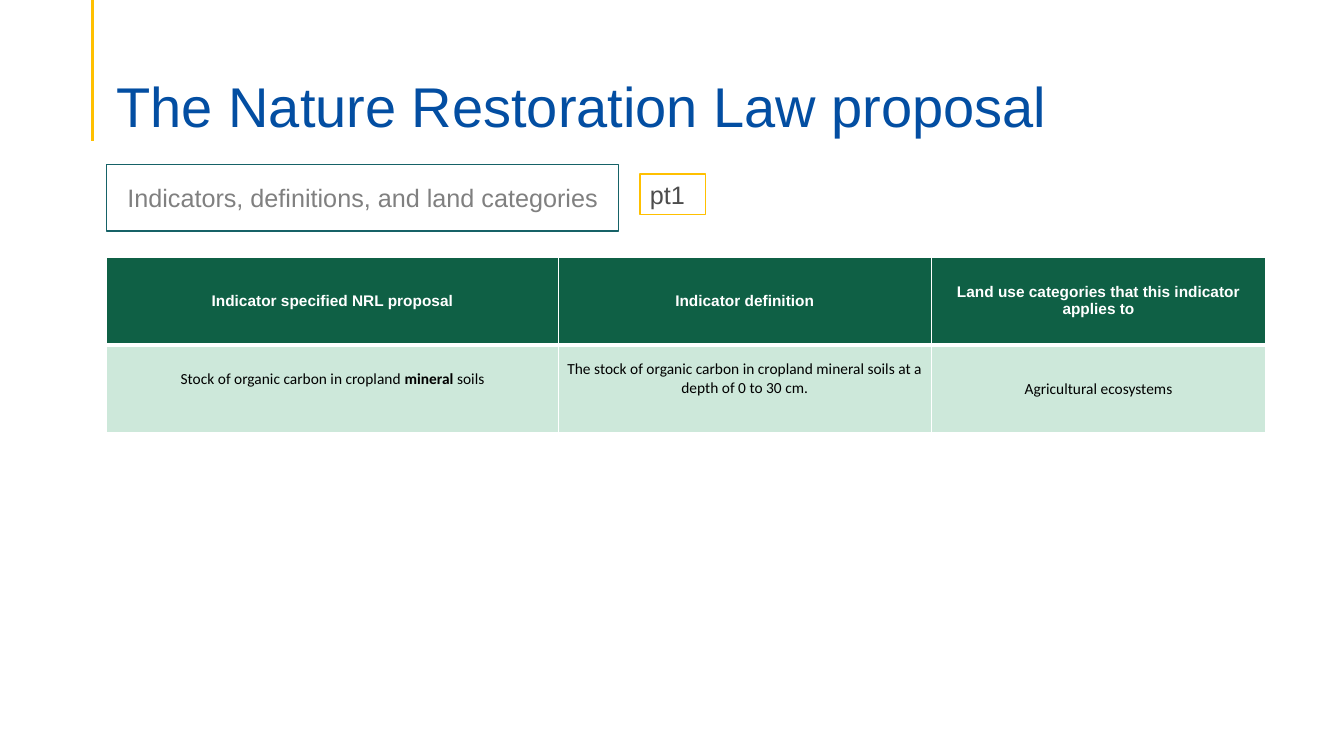
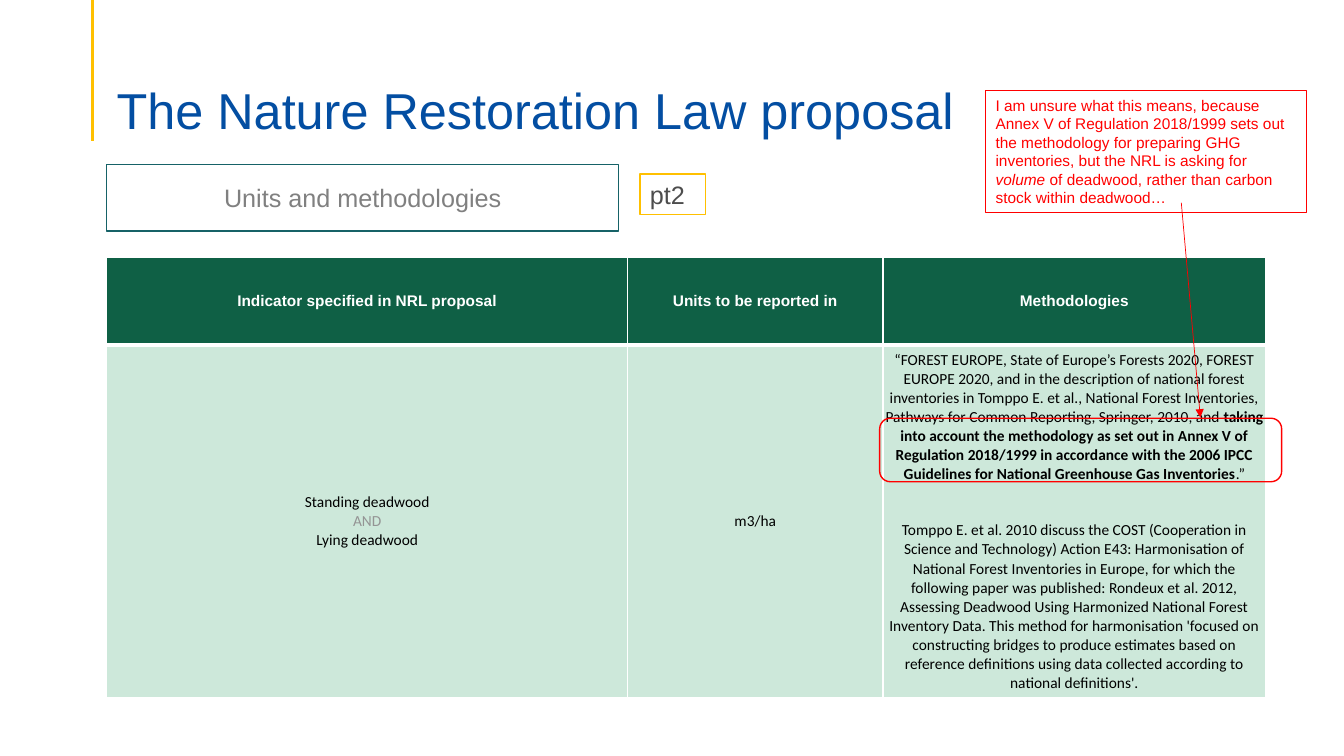
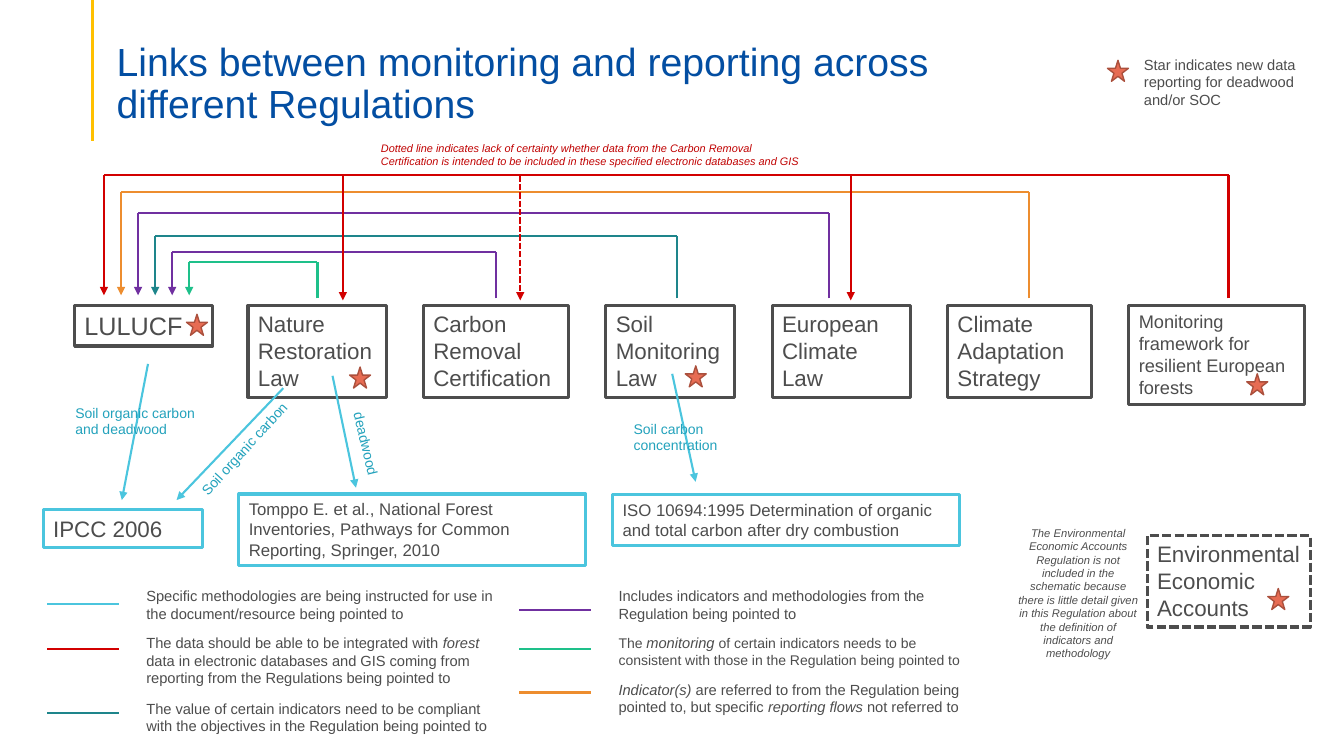
from dataclasses import dataclass

from lxml import etree
from pptx import Presentation
from pptx.dml.color import RGBColor
from pptx.enum.dml import MSO_LINE
from pptx.enum.shapes import MSO_CONNECTOR, MSO_SHAPE
from pptx.enum.text import MSO_ANCHOR, MSO_AUTO_SIZE, PP_ALIGN
from pptx.oxml.ns import qn
from pptx.util import Cm, Pt

STRAIGHT = MSO_CONNECTOR.STRAIGHT
RECTANGLE = MSO_SHAPE.RECTANGLE
ROUNDED = MSO_SHAPE.ROUNDED_RECTANGLE
STAR = MSO_SHAPE.STAR_5_POINT
DASHED = MSO_LINE.SQUARE_DOT
LEFT, CENTER = PP_ALIGN.LEFT, PP_ALIGN.CENTER
TOP, MIDDLE, BOTTOM = MSO_ANCHOR.TOP, MSO_ANCHOR.MIDDLE, MSO_ANCHOR.BOTTOM
FIT_SHAPE = MSO_AUTO_SIZE.SHAPE_TO_FIT_TEXT

COLORS = {
    "white": "FFFFFF", "black": "000000", "title": "034EA2", "yellow": "FFC000",
    "header": "0F6045", "body": "CDE8DA", "frame": "166267", "subtitle": "808080",
    "text": "4D4D4D", "muted": "949494", "alert": "FF0000", "cyan": "4BC5DE",
    "caption": "23A2BC", "purple": "7030A0", "orange": "ED8D2F", "green": "1EC08A",
    "teal": "1E858B", "red": "D20000", "note": "C00000", "star": "E76C53",
    "star edge": "AB503D",
}
BASE_STYLE = {"font": "Arial", "size": 10.5, "color": "text", "bold": False, "italic": False}
ITALIC = {"italic": True}
BOLD = {"bold": True}


@dataclass
class Box:
    left: float
    top: float
    width: float
    height: float

    def inside(self, left, top, width, height):
        return Box(self.left + left, self.top + top, width, height)

    def lengths(self):
        return [Cm(value) for value in (self.left, self.top, self.width, self.height)]


@dataclass
class Cell:
    paragraphs: list
    bottom_padding: float = 0
    gap: float = 0


def color_of(name):
    return RGBColor.from_string(COLORS[name])


def write(frame, paragraphs, style, align=LEFT, gap=0, spacing=None):
    style = BASE_STYLE | style
    for index, runs in enumerate(paragraphs):
        paragraph = frame.add_paragraph() if index else frame.paragraphs[0]
        paragraph.alignment = align
        if index and gap:
            paragraph.space_before = Pt(gap)
        if spacing:
            paragraph.line_spacing = spacing
        for text, changes in runs:
            run_style = style | changes
            run = paragraph.add_run()
            run.text = text
            font = run.font
            font.name = run_style["font"]
            font.size = Pt(run_style["size"])
            font.bold = run_style["bold"]
            font.italic = run_style["italic"]
            font.color.rgb = color_of(run_style["color"])


def add_label(slide, box, runs, align=LEFT, rotation=0, **style):
    shape = slide.shapes.add_textbox(*box.lengths())
    shape.rotation = rotation
    shape.text_frame.word_wrap = True
    shape.text_frame.auto_size = FIT_SHAPE
    write(shape.text_frame, [runs], style, align)


def add_figure(slide, box, kind, line, width, fill=None, dash=None):
    shape = slide.shapes.add_shape(kind, *box.lengths())
    shape.shadow.inherit = False
    if fill:
        shape.fill.solid()
        shape.fill.fore_color.rgb = color_of(fill)
    else:
        shape.fill.background()
    shape.line.color.rgb = color_of(line)
    shape.line.width = Pt(width)
    if dash:
        shape.line.dash_style = dash
    return shape


def add_text_box(slide, box, runs, line, width, fill="white", dash=None,
                 align=LEFT, anchor=TOP, **style):
    shape = add_figure(slide, box, RECTANGLE, line, width, fill, dash)
    frame = shape.text_frame
    frame.word_wrap = True
    frame.vertical_anchor = anchor
    if anchor == TOP:
        frame.auto_size = FIT_SHAPE
    write(frame, [runs], style, align)


def add_line(slide, start, end, color, width=1.5, arrow=False, dash=None):
    connector = slide.shapes.add_connector(STRAIGHT, *[Cm(value) for value in start + end])
    connector.line.color.rgb = color_of(color)
    connector.line.width = Pt(width)
    if dash:
        connector.line.dash_style = dash
    properties = connector.element.spPr
    if arrow:
        etree.SubElement(properties.find(qn("a:ln")), qn("a:tailEnd"), type="triangle")
    etree.SubElement(properties, qn("a:effectLst"))


def add_star(slide, left, top):
    add_figure(slide, Box(left, top, 0.53, 0.53), STAR, "star edge", 1, "star")


def new_slide(presentation, title, size, box):
    slide = presentation.slides.add_slide(presentation.slide_layouts[6])
    add_line(slide, (2.34, 0), (2.34, 3.56), "yellow", 2.25)
    frame = slide.shapes.add_textbox(*box.lengths()).text_frame
    frame.word_wrap = True
    frame.vertical_anchor = BOTTOM
    frame.margin_bottom = 0
    write(frame, [[(title, {})]], {"size": size, "color": "title"}, spacing=0.9)
    return slide


def style_cell(cell, content, fill, borders, style):
    cell.margin_left = cell.margin_right = cell.margin_top = 0
    cell.margin_bottom = Cm(content.bottom_padding)
    cell.vertical_anchor = MIDDLE
    properties = cell._tc.get_or_add_tcPr()
    for side, width in borders.items():
        line = etree.SubElement(properties, qn(f"a:ln{side}"), w=str(Pt(width)))
        solid = etree.SubElement(line, qn("a:solidFill"))
        etree.SubElement(solid, qn("a:srgbClr"), val=COLORS["white"])
    cell.fill.solid()
    cell.fill.fore_color.rgb = color_of(fill)
    write(cell.text_frame, content.paragraphs, style, CENTER, content.gap)


def add_indicator_table(slide, box, widths, headings, body):
    table = slide.shapes.add_table(2, len(widths), *box.lengths()).table
    table.horz_banding = False
    header_height = 2.21
    table.rows[0].height = Cm(header_height)
    table.rows[1].height = Cm(box.height - header_height)
    header_style = {"size": 11, "color": "white", "bold": True}
    body_style = {"size": 11, "color": "black", "font": "Calibri"}
    for column, (width, heading, content) in enumerate(zip(widths, headings, body)):
        table.columns[column].width = Cm(width)
        style_cell(table.cell(0, column), Cell([[(heading, {})]]), "header",
                   {"L": 1, "R": 1, "T": 1, "B": 3}, header_style)
        style_cell(table.cell(1, column), content, "body",
                   {"L": 1, "R": 1, "T": 3, "B": 1}, body_style)


def add_indicator_slide(presentation, title_size, subtitle, part, table_height,
                        widths, headings, body):
    area = Box(2.69, 1.35, 29.21, 17)
    slide = new_slide(presentation, "The Nature Restoration Law proposal", title_size,
                      area.inside(0, 0, area.width, 2.18))
    add_indicator_table(slide, area.inside(0, 5.13, area.width, table_height),
                        widths, headings, body)
    add_text_box(slide, area.inside(0, 2.79, 12.9, 1.68), [(subtitle, {})], "frame", 1,
                 align=CENTER, anchor=MIDDLE, size=18, color="subtitle")
    add_text_box(slide, area.inside(13.44, 3.04, 1.65, 1.02), [(part, {})], "yellow", 1, size=18)
    return slide


def add_methodology_comment(slide, box):
    add_figure(slide, box.inside(-2.67, 8.25, 10.13, 1.6), ROUNDED, "alert", 1)
    add_line(slide, (box.left + 4.93, box.top + 2.82), (box.left + 5.41, box.top + 8.23),
             "alert", 0.5, arrow=True)
    add_text_box(slide, box, [
        ("I am unsure what this means, because Annex V of Regulation 2018/1999 sets out the "
         "methodology for preparing GHG inventories, but the NRL is asking for ", {}),
        ("volume ", ITALIC),
        ("of deadwood, rather than carbon stock within deadwood…", {}),
    ], "alert", 0.75, fill=None, size=11, color="alert")


def add_law(slide, box, name, size=16, star=None, dash=None):
    add_text_box(slide, box, [(name, {})], "text", 2.25, dash=dash, size=size)
    if star:
        add_star(slide, box.left + star[0], box.top + star[1])


def add_laws(slide, box):
    laws = [
        (0, 3.48, 1.02, "LULUCF", 18, (2.82, 0.22)),
        (4.37, 3.5, 2.31, "Nature Restoration Law", 16, (2.56, 1.55)),
        (8.79, 3.66, 2.31, "Carbon Removal Certification", 16, None),
        (13.39, 3.25, 2.31, "Soil Monitoring Law", 16, (2, 1.52)),
        (17.58, 3.48, 2.31, "European Climate Law", 16, None),
        (22, 3.63, 2.31, "Climate Adaptation Strategy", 16, None),
        (26.57, 4.42, 2.49, "Monitoring framework for resilient European forests", 13, (2.97, 1.72)),
    ]
    for left, width, height, name, size, star in laws:
        add_law(slide, box.inside(left, 0, width, height), name, size, star)


def add_reporting_links(slide, box):
    links = [("red", 28.34, 0), ("orange", 23.31, 0.43), ("purple", 18.28, 0.94),
             ("teal", 14.45, 1.52), ("purple", 9.88, 1.93), ("green", 5.38, 2.18)]
    for index, (color, source, level) in enumerate(links):
        source_x, target_x = box.left + source, box.left + index * 0.43
        y = box.top + level
        add_line(slide, (source_x, box.top + 3.1), (source_x, y), color)
        add_line(slide, (source_x, y), (target_x, y), color)
        add_line(slide, (target_x, y), (target_x, box.top + 3.02), color, arrow=True)
    for offset, dash in ((6.02, None), (10.49, DASHED), (18.82, None)):
        x = box.left + offset
        add_line(slide, (x, box.top), (x, box.top + box.height), "red", arrow=True, dash=dash)
    add_label(slide, box.inside(6.73, -0.97, 11.3, 0.94), [
        ("Dotted line indicates lack of certainty whether data from the Carbon Removal "
         "Certification is intended to be included in these specified electronic databases "
         "and GIS", ITALIC)], size=7.8, color="note")


def add_methods(slide, box):
    resources = [
        (0, 3.68, 4.01, 0.94, 16, "IPCC 2006"),
        (4.93, 3.28, 8.74, 1.8, 12, "Tomppo E. et al., National Forest Inventories, "
         "Pathways for Common Reporting, Springer, 2010"),
        (14.35, 3.3, 8.74, 1.27, 12, "ISO 10694:1995 Determination of organic and total "
         "carbon after dry combustion"),
    ]
    for left, top, width, height, size, text in resources:
        add_text_box(slide, box.inside(left, top, width, height), [(text, {})], "cyan", 2.25,
                     size=size)
    arrows = [(2.64, 0, 1.98, 3.43), (7.29, 0.3, 7.88, 3.12),
              (6.05, 0.61, 3.36, 3.43), (15.85, 0.25, 16.44, 2.97)]
    for start_x, start_y, end_x, end_y in arrows:
        add_line(slide, (box.left + start_x, box.top + start_y),
                 (box.left + end_x, box.top + end_y), "cyan", arrow=True)
    captions = [
        (0.56, 0.89, 3.91, 1.12, 0, "Soil organic carbon and deadwood"),
        (3.25, 1.65, 3.91, 0.69, 312.3, "Soil organic carbon"),
        (6.94, 1.83, 2.46, 0.69, 76.6, "deadwood"),
        (14.63, 1.29, 3.91, 1.12, 0, "Soil carbon concentration"),
    ]
    for left, top, width, height, rotation, text in captions:
        add_label(slide, box.inside(left, top, width, height), [(text, {})],
                  rotation=rotation, size=10, color="caption")


def add_legend_column(slide, box, entries):
    for color, line_top, text_top, height, runs in entries:
        y = box.top + line_top
        add_line(slide, (box.left, y), (box.left + 1.8, y), color)
        add_label(slide, box.inside(2.25, text_top, box.width - 2.25, height), runs)


def add_legend(slide, box):
    add_legend_column(slide, box.inside(0, 0, 11.55, box.height), [
        ("cyan", 0.55, 0, 1.14, [
            ("Specific methodologies are being instructed for use in the document/resource "
             "being pointed to", {})]),
        ("red", 1.7, 1.19, 1.6, [
            ("The data should be able to be integrated with ", {}), ("forest ", ITALIC),
            ("data in electronic databases and GIS coming from reporting from the "
             "Regulations being pointed to", {})]),
        ("teal", 3.3, 2.84, 1.14, [
            ("The value of certain indicators need to be compliant with the objectives in "
             "the Regulation being pointed to", {})]),
    ])
    add_legend_column(slide, box.inside(11.9, 0, 11.55, box.height), [
        ("purple", 0.7, 0, 1.14, [
            ("Includes indicators and methodologies from the Regulation being pointed to", {})]),
        ("green", 1.7, 1.19, 1.14, [
            ("The ", {"size": 10}), ("monitoring", ITALIC),
            (" of certain indicators needs to be consistent with those in the Regulation "
             "being pointed to", {"size": 10})]),
        ("orange", 2.79, 2.36, 1.14, [
            ("Indicator(s) ", ITALIC),
            ("are referred to from the Regulation being pointed to, but specific ", {}),
            ("reporting flows ", ITALIC), ("not referred to", {})]),
    ])


def add_star_key(slide, box):
    add_star(slide, box.left, box.top + 0.25)
    add_label(slide, box.inside(0.67, 0, box.width - 0.67, box.height), [
        ("Star indicates new data reporting for deadwood and/or SOC", {})])


def add_accounts(slide, box):
    add_label(slide, box.inside(0, 0, 3.61, box.height), [
        ("The Environmental Economic Accounts Regulation is not included in the schematic "
         "because there is little detail given in this Regulation about the definition of "
         "indicators and methodology", ITALIC)], align=CENTER, size=8)
    add_law(slide, box.inside(3.54, 0.36, 4.11, 2.31), "Environmental Economic Accounts",
            star=(3.04, 1.34), dash=DASHED)


def add_links_slide(presentation):
    slide = new_slide(presentation,
                      "Links between monitoring and reporting across different Regulations",
                      28, Box(2.69, 1.02, 24.51, 2.18))
    add_laws(slide, Box(1.88, 7.7, 30.99, 2.49))
    add_methods(slide, Box(1.09, 9.17, 23.09, 5.08))
    add_reporting_links(slide, Box(2.62, 4.42, 28.34, 3.15))
    add_legend(slide, Box(1.19, 14.66, 23.45, 3.98))
    add_star_key(slide, Box(27.91, 1.27, 5.06, 1.6))
    add_accounts(slide, Box(25.37, 13.13, 7.65, 3.68))


def main():
    presentation = Presentation()
    presentation.slide_width = Cm(33.87)
    presentation.slide_height = Cm(19.05)
    add_indicator_slide(
        presentation, 40, "Indicators, definitions, and land categories", "pt1", 4.42,
        [11.38, 9.4, 8.43],
        ["Indicator specified NRL proposal", "Indicator definition",
         "Land use categories that this indicator applies to"],
        [Cell([[("Stock of organic carbon in cropland ", {}), ("mineral ", BOLD),
                ("soils", {})]], bottom_padding=0.48),
         Cell([[("The stock of organic carbon in cropland mineral soils at a depth of "
                 "0 to 30 cm.", {})]], bottom_padding=0.48),
         Cell([[("Agricultural ecosystems", {})]])])
    methods_slide = add_indicator_slide(
        presentation, 36, "Units and methodologies", "pt2", 11.1,
        [13.13, 6.43, 9.65],
        ["Indicator specified in NRL proposal", "Units to be reported in", "Methodologies"],
        [Cell([[("Standing deadwood", {})], [("AND", {"color": "muted"})],
               [("Lying deadwood", {})]]),
         Cell([[("m3/ha", {})]]),
         Cell([[("“FOREST EUROPE, State of Europe’s Forests 2020, FOREST EUROPE 2020, and in "
                 "the description of national forest inventories in Tomppo E. et al., National "
                 "Forest Inventories, Pathways for Common Reporting, Springer, 2010, and ", {}),
                ("taking into account the methodology as set out in Annex V of Regulation "
                 "2018/1999 in accordance with the 2006 IPCC Guidelines for National "
                 "Greenhouse Gas Inventories", BOLD),
                (".”", {})],
               [("Tomppo E. et al. 2010 discuss the COST (Cooperation in Science and "
                 "Technology) Action E43: Harmonisation of National Forest Inventories in "
                 "Europe, for which the following paper was published: Rondeux et al. 2012, "
                 "Assessing Deadwood Using Harmonized National Forest Inventory Data. This "
                 "method for harmonisation 'focused on constructing bridges to produce "
                 "estimates based on reference definitions using data collected according to "
                 "national definitions'.", {})]], gap=27)])
    add_methodology_comment(methods_slide, Box(24.84, 2.29, 8.08, 3.07))
    add_links_slide(presentation)
    presentation.save("out.pptx")


if __name__ == "__main__":
    main()
